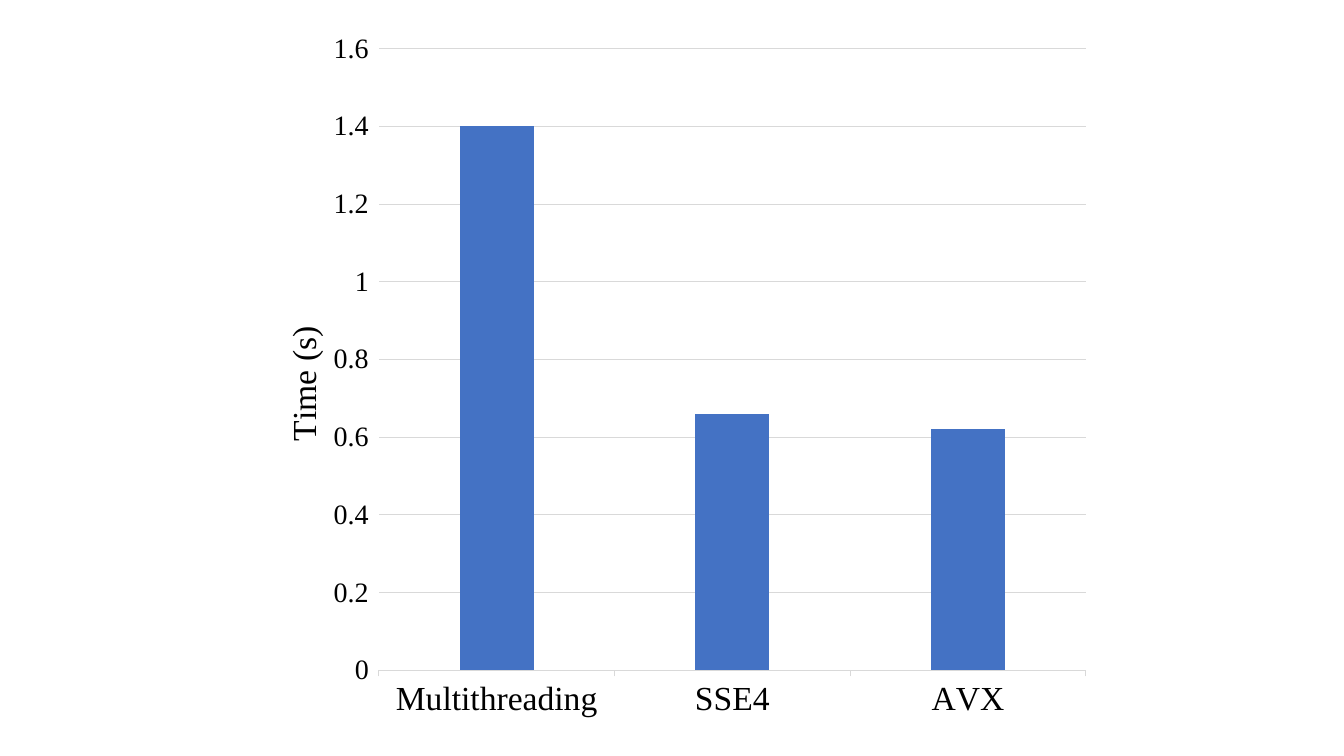
from lxml.etree import SubElement
from pptx import Presentation
from pptx.chart.data import CategoryChartData
from pptx.dml.color import RGBColor
from pptx.enum.chart import XL_CHART_TYPE, XL_TICK_MARK
from pptx.oxml.ns import qn
from pptx.util import Inches, Pt


def color(value):
    """Return the colour for a hex string."""
    return RGBColor.from_string(value)


class TimingSlide:
    """Holds the style and the slide with the timing chart."""

    ink, rule, bar = "000000", "D9D9D9", "4472C4"
    label_font = "Times New Roman"

    def __init__(self, deck):
        """Add a blank slide to the deck."""
        self.slide = deck.slides.add_slide(deck.slide_layouts[6])

    def style_font(self, font, size, name=label_font):
        """Apply typeface, size and ink to a font."""
        for attribute, value in {"name": name, "size": Pt(size), "bold": False}.items():
            setattr(font, attribute, value)
        font.color.rgb = color(self.ink)

    def style_rule(self, line):
        """Draw a line as a thin grey rule."""
        line.width = Pt(0.75)
        line.color.rgb = color(self.rule)

    def place(self, part, index, fractions):
        """Fix a chart part at fractions of the chart area."""
        for old in part.findall(qn("c:layout")):
            part.remove(old)
        layout = SubElement(part, qn("c:layout"))
        part.insert(index, layout)
        manual = SubElement(layout, qn("c:manualLayout"))
        for tag, value in fractions.items():
            SubElement(manual, qn(f"c:{tag}")).set("val", str(value))

    def columns(self, box, categories, series_name, values):
        """Add the column chart and return it."""
        timings = CategoryChartData()
        timings.categories = categories
        timings.add_series(series_name, values)
        chart = self.slide.shapes.add_chart(
            XL_CHART_TYPE.COLUMN_CLUSTERED, *map(Inches, box), timings).chart
        chart.has_legend = chart.has_title = False
        self.style_font(chart.font, 10, "Calibri")
        plot = chart.plots[0]
        for attribute, value in {"gap_width": 219, "overlap": -27, "vary_by_categories": False}.items():
            setattr(plot, attribute, value)
        fill = plot.series[0].format.fill
        fill.solid()
        fill.fore_color.rgb = color(self.bar)
        self.place(chart._chartSpace.chart.plotArea, 0, {
            "layoutTarget": "inner", "xMode": "edge", "yMode": "edge",
            "x": 0.16, "y": 0.04, "w": 0.82, "h": 0.87})
        return chart

    def category_axis(self, axis):
        """Style the axis that names the methods."""
        axis.major_tick_mark = XL_TICK_MARK.OUTSIDE
        self.style_font(axis.tick_labels.font, 24)
        self.style_rule(axis.format.line)

    def value_axis(self, axis, title):
        """Style the time axis with its title and gridlines."""
        scale = {"minimum_scale": 0, "maximum_scale": 1.6, "major_unit": 0.2,
                 "major_tick_mark": XL_TICK_MARK.OUTSIDE, "has_major_gridlines": True}
        for attribute, value in scale.items():
            setattr(axis, attribute, value)
        self.style_font(axis.tick_labels.font, 20)
        axis.format.line.fill.background()
        self.style_rule(axis.major_gridlines.format.line)
        frame = axis.axis_title.text_frame
        frame.text = title
        self.style_font(frame.paragraphs[0].runs[0].font, 24)
        frame._txBody.bodyPr.set("rot", "-5400000")
        frame._txBody.bodyPr.set("vert", "horz")
        self.place(axis.axis_title._element, 1, {
            "xMode": "edge", "yMode": "edge", "x": 0.04, "y": 0.42})


def main():
    """Build and save the deck."""
    deck = Presentation()
    deck.slide_width, deck.slide_height = Inches(13.33), Inches(7.5)
    timing = TimingSlide(deck)
    chart = timing.columns((2.39, 0.2, 8.55, 7.09),
                           ("Multithreading", "SSE4", "AVX"), "Series 1", (1.4, 0.66, 0.62))
    timing.category_axis(chart.category_axis)
    timing.value_axis(chart.value_axis, "Time (s)")
    deck.save("out.pptx")


if __name__ == "__main__":
    main()
